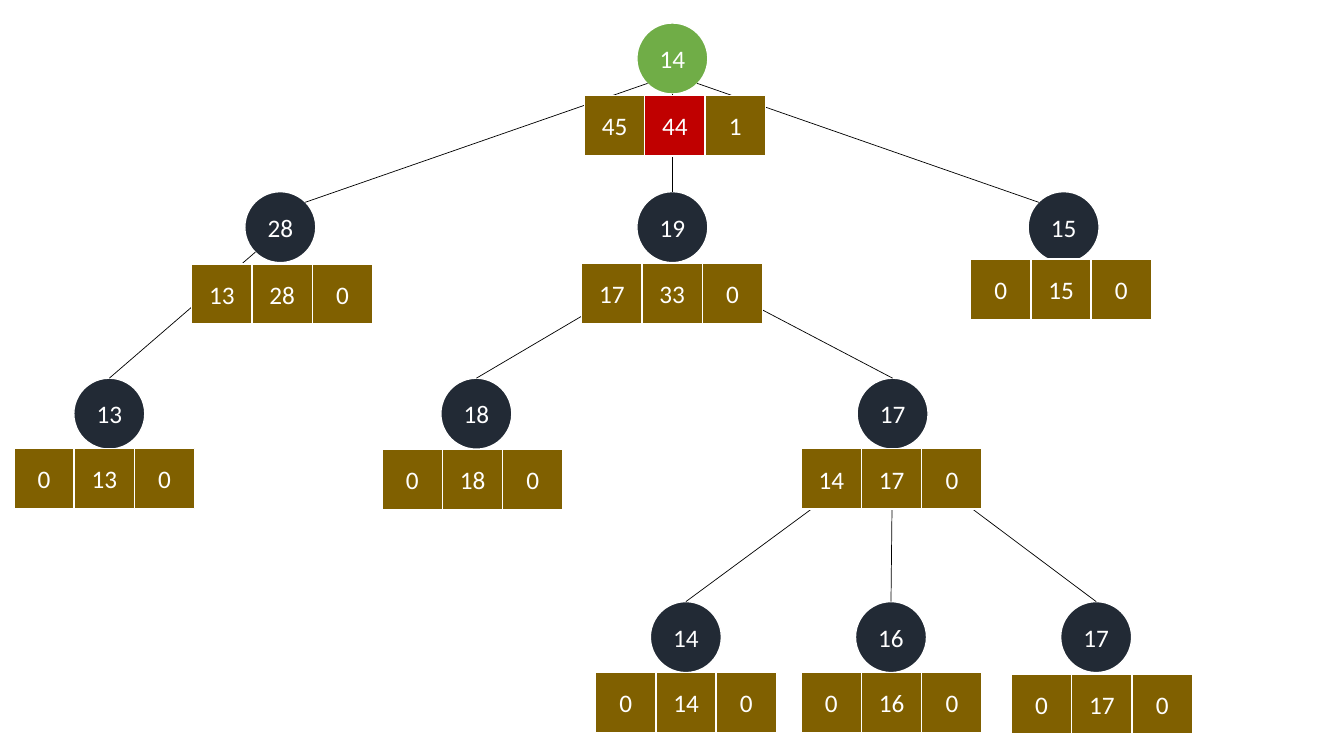
from pptx import Presentation
from pptx.dml.color import RGBColor
from pptx.enum.shapes import MSO_CONNECTOR as Connector, MSO_SHAPE as Shape
from pptx.enum.text import MSO_ANCHOR as Anchor, PP_ALIGN as Align
from pptx.oxml.ns import qn
from pptx.util import Cm, Pt
from lxml.etree import SubElement

NODE_SIZE = 1.79
CELL_SIZE = 1.52
ROOT, DARK, CELL, MARKED = "70AD47", "222A35", "806000", "C00000"
LEVEL_TOPS = [0.58, 4.83, 9.53, 15.16]
SITES = {
    "top": (0.5, 0),
    "bottom": (0.5, 1),
    "upper left": (0.15, 0.15),
    "upper right": (0.85, 0.15),
    "lower left": (0.15, 0.85),
    "lower right": (0.85, 0.85),
}

# name: (label, level, left, cells left, cells top, cell values)
NODES = {
    "root": ("14", 0, 16.05, 14.73, 2.41, ["45", "44", "1"]),
    "left": ("28", 1, 6.17, 4.83, 6.65, ["13", "28", "0"]),
    "middle": ("19", 1, 16.05, 14.66, 6.63, ["17", "33", "0"]),
    "right": ("15", 1, 25.91, 24.46, 6.53, ["0", "15", "0"]),
    "left child": ("13", 2, 1.86, 0.35, 11.3, ["0", "13", "0"]),
    "middle first": ("18", 2, 11.11, 9.63, 11.33, ["0", "18", "0"]),
    "middle second": ("17", 2, 21.6, 20.19, 11.31, ["14", "17", "0"]),
    "leaf first": ("14", 3, 16.39, 15.01, 16.95, ["0", "14", "0"]),
    "leaf second": ("16", 3, 21.56, 20.19, 16.95, ["0", "16", "0"]),
    "leaf third": ("17", 3, 26.73, 25.49, 16.98, ["0", "17", "0"]),
}
EDGES = [
    ("root", "lower left", "left", "upper right"),
    ("root", "bottom", "middle", "top"),
    ("root", "lower right", "right", "upper left"),
    ("middle", "bottom", "middle second", "top"),
    ("middle", "bottom", "middle first", "top"),
    ("left", "lower left", "left child", "top"),
    ("middle second", "bottom", "leaf first", "top"),
    ("middle second", "bottom", "leaf second", "top"),
    ("middle second", "bottom", "leaf third", "top"),
]

presentation = Presentation()
presentation.slide_width = Cm(33.87)
presentation.slide_height = Cm(19.05)
slide = presentation.slides.add_slide(presentation.slide_layouts[6])


def add_label(text, kind, left, top, size, fill, color="FFFFFF", font_size=18):
    shape = slide.shapes.add_shape(kind, Cm(left), Cm(top), Cm(size), Cm(size))
    shape.shadow.inherit = False
    shape.fill.solid()
    shape.fill.fore_color.rgb = RGBColor.from_string(fill)
    shape.line.color.rgb = RGBColor.from_string(color)
    shape.line.width = Pt(1)
    frame = shape.text_frame
    frame.word_wrap = True
    frame.vertical_anchor = Anchor.MIDDLE
    frame.margin_left = frame.margin_right = 0
    paragraph = frame.paragraphs[0]
    paragraph.alignment = Align.CENTER
    run = paragraph.add_run()
    run.text = text
    run.font.name = "Calibri"
    run.font.size = Pt(font_size)
    run.font.color.rgb = RGBColor.from_string(color)


def site_point(name, site):
    across, down = SITES[site]
    label, level, left, *cells = NODES[name]
    return Cm(left + across * NODE_SIZE), Cm(LEVEL_TOPS[level] + down * NODE_SIZE)


for name, (label, level, left, *cells) in NODES.items():
    fill = ROOT if name == "root" else DARK
    add_label(label, Shape.OVAL, left, LEVEL_TOPS[level], NODE_SIZE, fill)

for parent, parent_site, child, child_site in EDGES:
    start = site_point(parent, parent_site)
    end = site_point(child, child_site)
    edge = slide.shapes.add_connector(Connector.STRAIGHT, *start, *end)
    edge.line.color.rgb = RGBColor.from_string("000000")
    edge.line.width = Pt(0.5)
    SubElement(edge._element.spPr, qn("a:effectLst"))

for name, (label, level, left, cells_left, cells_top, values) in NODES.items():
    for column, value in enumerate(values):
        fill = MARKED if (name, column) == ("root", 1) else CELL
        cell_left = cells_left + column * CELL_SIZE
        add_label(value, Shape.RECTANGLE, cell_left, cells_top, CELL_SIZE, fill)

presentation.save("out.pptx")
